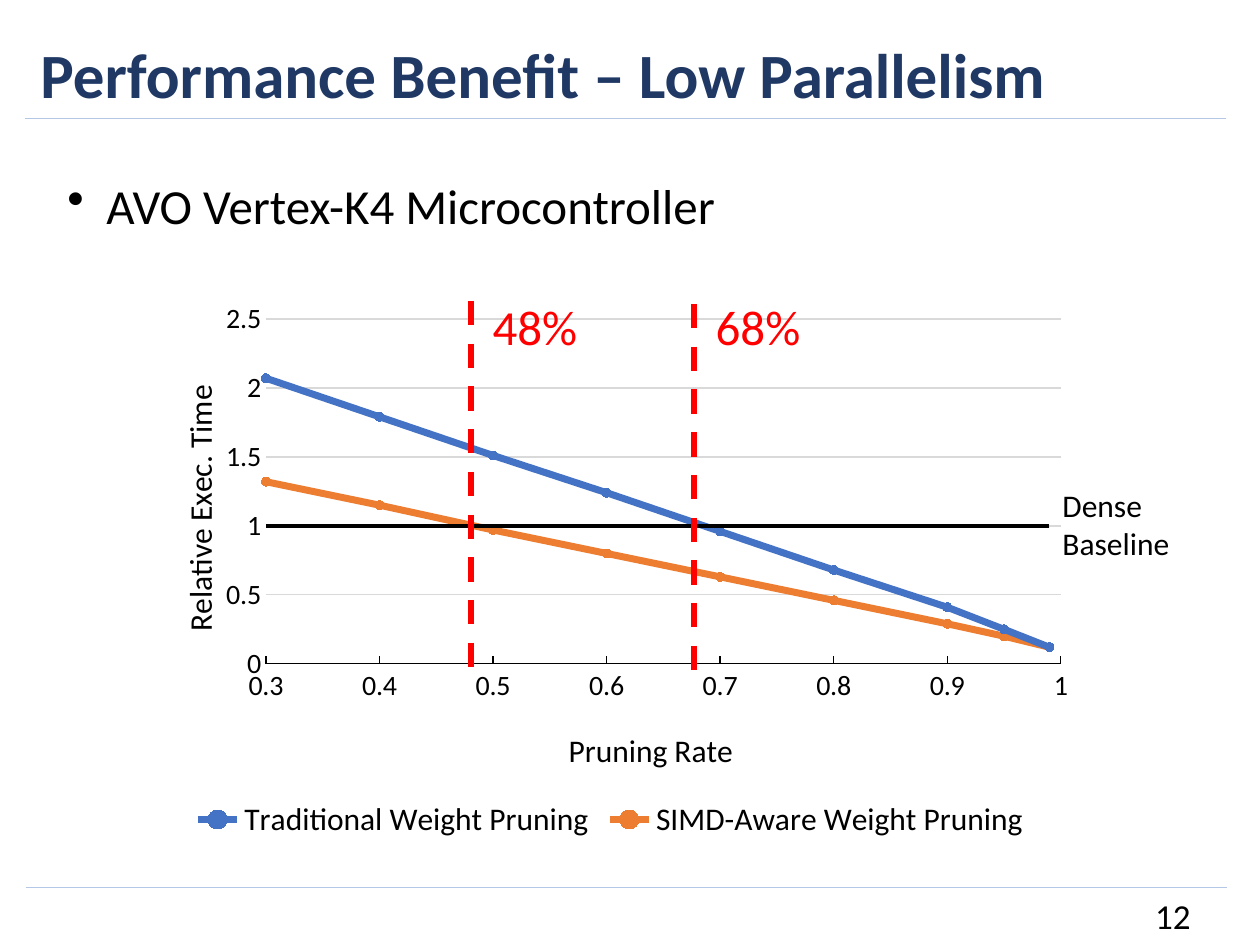
import lxml.etree
import pptx
import pptx.chart.data
import pptx.dml.color
import pptx.enum.chart
import pptx.enum.dml
import pptx.enum.shapes
import pptx.enum.text
import pptx.oxml.ns
import pptx.util

EMU_PER_PX = 914400 / 126
THEME = {
    "font": "Calibri",
    "ink": "000000", "title": "203864", "rule": "B4C7E7", "grid": "D9D9D9",
    "alert": "FF0000", "traditional": "4472C4", "simd": "ED7D31",
    "title_size": 36, "body_size": 28, "number_size": 20,
    "label_size": 18, "tick_size": 16,
}
PRUNING_RATES = [0.99, 0.95, 0.9, 0.8, 0.7, 0.6, 0.5, 0.4, 0.3]
CURVES = [
    ("Dense Baseline", "ink", 2.25, [1] * len(PRUNING_RATES)),
    ("Traditional Weight Pruning", "traditional", 4,
     [0.12, 0.25, 0.41, 0.68, 0.96, 1.24, 1.51, 1.79, 2.07]),
    ("SIMD-Aware Weight Pruning", "simd", 4,
     [0.12, 0.2, 0.29, 0.46, 0.63, 0.8, 0.97, 1.15, 1.32]),
]


def px(length):
    return pptx.util.Emu(round(length * EMU_PER_PX))


def colour(role):
    return pptx.dml.color.RGBColor.from_string(THEME[role])


def assign(target, values):
    for name, value in values.items():
        setattr(target, name, value)


def style_font(font, size, role="ink", bold=False):
    assign(font, {"name": THEME["font"], "size": pptx.util.Pt(THEME[size]), "bold": bold})
    font.color.rgb = colour(role)


def style_line(line, role, width):
    line.color.rgb = colour(role)
    line.width = pptx.util.Pt(width)


def add_text(slide, box, lines, size, role="ink", bold=False, align="LEFT",
             frame_format=None, bullet_indent=0):
    frame = slide.shapes.add_textbox(*map(px, box)).text_frame
    assign(frame, {"word_wrap": False, **(frame_format or {})})
    frame.text = "\n".join(lines)
    for paragraph in frame.paragraphs:
        paragraph.alignment = pptx.enum.text.PP_ALIGN[align]
        if bullet_indent:
            properties = paragraph._p.get_or_add_pPr()
            properties.set("marL", str(px(bullet_indent)))
            properties.set("indent", str(-px(bullet_indent)))
            lxml.etree.SubElement(properties, pptx.oxml.ns.qn("a:buChar")).set("char", "•")
        for run in paragraph.runs:
            style_font(run.font, size, role, bold)


def add_line(slide, start, end, role, width, dash=None):
    line = slide.shapes.add_connector(
        pptx.enum.shapes.MSO_CONNECTOR.STRAIGHT, *map(px, (*start, *end)))
    style_line(line.line, role, width)
    if dash:
        line.line.dash_style = dash
    lxml.etree.SubElement(line._element.spPr, pptx.oxml.ns.qn("a:effectLst"))


def chart_element(parent, tag, index, value=None):
    child = lxml.etree.Element(pptx.oxml.ns.qn(tag))
    if value is not None:
        child.set("val", str(value))
    parent.insert(index, child)
    return child


def place_part(holder, index, settings):
    existing = holder.find(pptx.oxml.ns.qn("c:layout"))
    if existing is not None:
        holder.remove(existing)
    manual = chart_element(chart_element(holder, "c:layout", index), "c:manualLayout", 0)
    for position, (name, value) in enumerate(settings.items()):
        chart_element(manual, f"c:{name}", position, value)


def title_axis(axis, title, left, top, turn):
    axis.axis_title.text_frame.text = title
    style_font(axis.axis_title.text_frame.paragraphs[0].runs[0].font, "label_size")
    holder = axis.axis_title._element
    holder.find(f".//{pptx.oxml.ns.qn('a:bodyPr')}").set("rot", str(turn))
    place_part(holder, 1, {"xMode": "edge", "yMode": "edge", "x": left, "y": top})


def style_axes(chart, width, height):
    tick = pptx.enum.chart.XL_TICK_MARK
    axes = [
        (chart.category_axis, "Pruning Rate", 430, 432, 0,
         {"minimum_scale": 0.3, "maximum_scale": 1, "major_unit": 0.1,
          "has_major_gridlines": False, "major_tick_mark": tick.INSIDE}),
        (chart.value_axis, "Relative Exec. Time", 34, 86, -5400000,
         {"minimum_scale": 0, "maximum_scale": 2.5, "major_unit": 0.5,
          "has_major_gridlines": True, "major_tick_mark": tick.NONE}),
    ]
    for axis, title, left, top, turn, axis_format in axes:
        assign(axis, {**axis_format, "has_title": True, "minor_tick_mark": tick.NONE})
        assign(axis.tick_labels, {"number_format": "General", "number_format_is_linked": False})
        style_font(axis.tick_labels.font, "tick_size")
        title_axis(axis, title, round(left / width, 2), round(top / height, 2), turn)
    style_line(chart.category_axis.format.line, "ink", 0.75)
    chart.value_axis.format.line.fill.background()
    style_line(chart.value_axis.major_gridlines.format.line, "grid", 0.75)


def style_curves(chart):
    marker_style = pptx.enum.chart.XL_MARKER_STYLE
    chart.plots[0].vary_by_categories = False
    for series, (_, role, width, _) in zip(chart.plots[0].series, CURVES):
        style_line(series.format.line, role, width)
        if role == "ink":
            series.marker.style = marker_style.NONE
        else:
            assign(series.marker, {"style": marker_style.CIRCLE, "size": 5})
            series.marker.format.fill.solid()
            series.marker.format.fill.fore_color.rgb = colour(role)
            style_line(series.marker.format.line, role, 0.75)
        for smooth in series._element.findall(pptx.oxml.ns.qn("c:smooth")):
            smooth.set("val", "0")


def build_legend(chart):
    chart.has_legend = True
    assign(chart.legend, {"position": pptx.enum.chart.XL_LEGEND_POSITION.BOTTOM,
                          "include_in_layout": False})
    style_font(chart.legend.font, "label_size")
    hidden = chart_element(chart.legend._element, "c:legendEntry", 1)
    chart_element(hidden, "c:idx", 0, 0)
    chart_element(hidden, "c:delete", 1, 1)


def build_chart(slide, box):
    width, height = box[2:]
    timings = pptx.chart.data.XyChartData()
    for name, _, _, times in CURVES:
        curve = timings.add_series(name)
        for rate, time in zip(PRUNING_RATES, times):
            curve.add_data_point(rate, time)
    chart = slide.shapes.add_chart(
        pptx.enum.chart.XL_CHART_TYPE.XY_SCATTER_LINES, *map(px, box), timings).chart
    chart.has_title = False
    style_font(chart.font, "tick_size")
    style_axes(chart, width, height)
    style_curves(chart)
    build_legend(chart)
    plot_area = chart._chartSpace.find(f".//{pptx.oxml.ns.qn('c:plotArea')}")
    place_part(plot_area, 0, {
        "layoutTarget": "inner", "xMode": "edge", "yMode": "edge",
        "x": 132 / width, "y": 28 / height, "w": 795 / width, "h": 345 / height})


def build_threshold(slide, box, label, drop):
    left, top, width, height = box
    add_line(slide, (left + 40, top + drop), (left + 40, top + drop + height),
             "alert", 3.5, pptx.enum.dml.MSO_LINE.DASH)
    flush = dict.fromkeys(("margin_left", "margin_top", "margin_right", "margin_bottom"), 0)
    add_text(slide, (left, top, width, 69), [label], "body_size", "alert",
             align="CENTER", frame_format=flush)


def build_header(slide, box):
    left, top, width, height = box
    add_line(slide, (left, top + height), (left + width, top + height), "rule", 0.5)
    add_text(slide, (left + 3, top, 1042, height),
             ["Performance Benefit – Low Parallelism"], "title_size", "title", bold=True)


def build_footer(slide, box):
    left, top, width, height = box
    add_line(slide, (left, top), (left + width, top), "rule", 0.5)
    add_text(slide, (left + 894, top + 4, 283, height), ["12"], "number_size", align="RIGHT",
             frame_format={"vertical_anchor": pptx.enum.text.MSO_ANCHOR.MIDDLE})


def main():
    deck = pptx.Presentation()
    assign(deck, {"slide_width": px(1260), "slide_height": px(945)})
    slide = deck.slides.add_slide(deck.slide_layouts[6])
    build_footer(slide, (26, 887, 1201, 50))
    build_header(slide, (25, 29, 1201, 89))
    add_text(slide, (55, 169, 711, 72), ["AVO Vertex-K4 Microcontroller"],
             "body_size", bullet_indent=39)
    build_chart(slide, (134, 291, 953, 554))
    build_threshold(slide, (654, 296, 208, 370), "68%", 8)
    build_threshold(slide, (431, 296, 208, 370), "48%", 5)
    add_text(slide, (1050, 480, 134, 89), ["Dense", "Baseline"], "label_size")
    deck.save("out.pptx")


if __name__ == "__main__":
    main()
